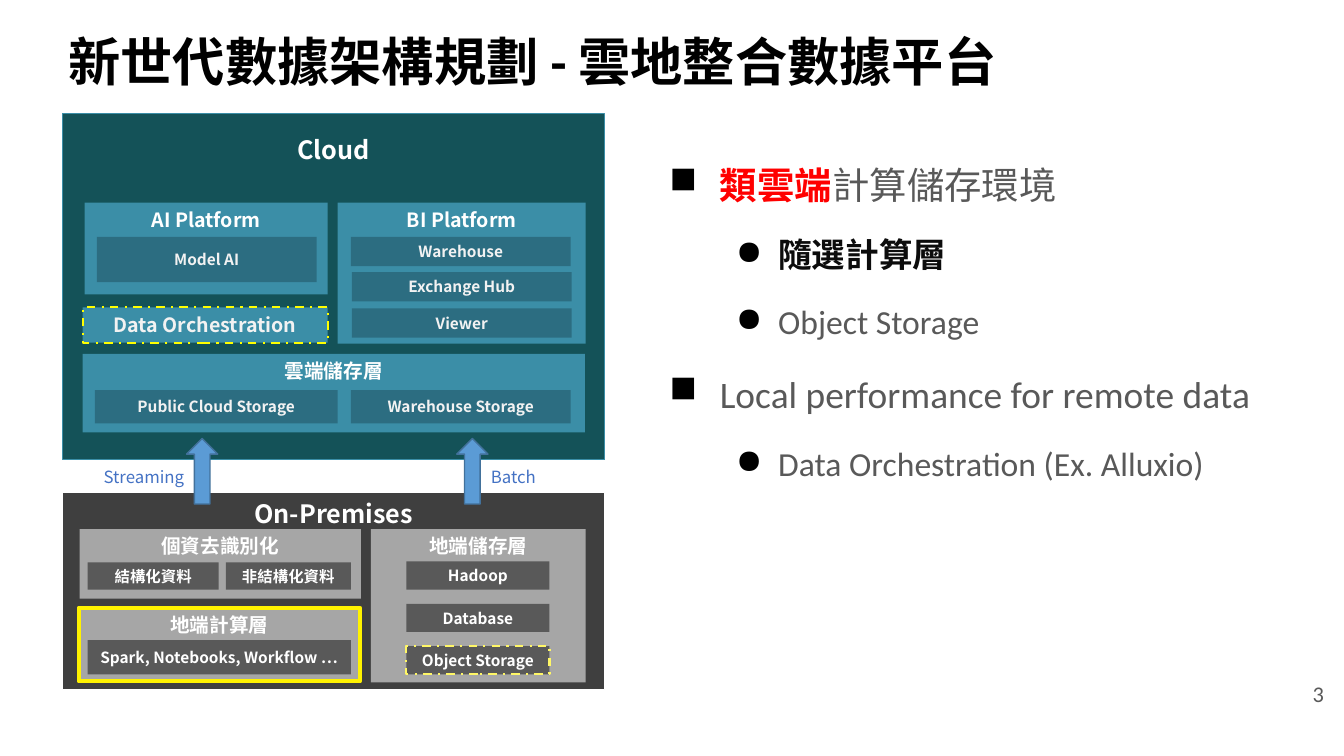
from lxml.etree import SubElement
from pptx import Presentation
from pptx.dml.color import RGBColor
from pptx.enum.dml import MSO_LINE
from pptx.enum.shapes import MSO_SHAPE
from pptx.enum.text import MSO_ANCHOR, PP_ALIGN
from pptx.oxml.ns import qn
from pptx.util import Inches, Pt

BLACK = RGBColor(0x00, 0x00, 0x00)
INK = RGBColor(0x0C, 0x0C, 0x0C)
WHITE = RGBColor(0xFF, 0xFF, 0xFF)
PALE = RGBColor(0xF2, 0xF2, 0xF2)
RED = RGBColor(0xFF, 0x00, 0x00)
GRAY = RGBColor(0x59, 0x59, 0x59)
CHARCOAL = RGBColor(0x3F, 0x3F, 0x3F)
SILVER = RGBColor(0xA6, 0xA6, 0xA6)
DEEP_TEAL = RGBColor(0x14, 0x52, 0x58)
TEAL = RGBColor(0x3B, 0x8E, 0xA7)
DARK_TEAL = RGBColor(0x2C, 0x6D, 0x81)
YELLOW = RGBColor(0xFF, 0xFF, 0x00)
GOLD = RGBColor(0xFF, 0xF2, 0x00)
LEMON = RGBColor(0xFF, 0xF7, 0x66)
ARROW_FILL = RGBColor(0x5B, 0x9B, 0xD5)
ARROW_LINE = RGBColor(0x42, 0x71, 0x9B)
FLOW_BLUE = RGBColor(0x44, 0x72, 0xC4)

CALIBRI = "Calibri"
NOTO = "Noto Sans CJK SC"


def set_font(para, name, size, color, bold=False):
    font = para.font
    font.name, font.size, font.bold = name, Pt(size), bold
    font.color.rgb = color
    # Chinese characters always use Noto
    defaults = para._p.get_or_add_pPr().find(qn("a:defRPr"))
    SubElement(defaults, qn("a:ea")).set("typeface", NOTO)


def add_text(page, left, top, width, height, text, font, size, color,
             bold=False, anchor=MSO_ANCHOR.TOP):
    box = page.shapes.add_textbox(Inches(left), Inches(top), Inches(width), Inches(height))
    box.text_frame.word_wrap = True
    box.text_frame.vertical_anchor = anchor
    para = box.text_frame.paragraphs[0]
    para.text = text
    set_font(para, font, size, color, bold)


def add_block(page, left, top, width, height, fill, text="", size=14, color=WHITE,
              anchor=MSO_ANCHOR.TOP, outline=None, weight=0.75, dash=None,
              spacing=1.0, kind=MSO_SHAPE.RECTANGLE):
    block = page.shapes.add_shape(kind, Inches(left), Inches(top), Inches(width), Inches(height))
    block.shadow.inherit = False
    block.fill.solid()
    block.fill.fore_color.rgb = fill
    if outline is None:
        block.line.fill.background()
    else:
        block.line.color.rgb = outline
        block.line.width = Pt(weight)
        if dash is not None:
            block.line.dash_style = dash
    if text:
        block.text_frame.word_wrap = True
        block.text_frame.vertical_anchor = anchor
        para = block.text_frame.paragraphs[0]
        para.text = text
        para.alignment = PP_ALIGN.CENTER
        para.line_spacing = spacing
        set_font(para, NOTO, size, color, bold=True)
    return block


def add_item(page, left, top, width, height, fill, text, color, **style):
    add_block(page, left, top, width, height, fill, text, 11, color,
              MSO_ANCHOR.MIDDLE, **style)


def add_on_premises(page, left, top, width, height):
    add_block(page, left, top, width, height, CHARCOAL, "On-Premises", 18, outline=WHITE)
    # De-identification and compute layers
    add_block(page, left + 0.17, top + 0.36, 2.79, 0.69, SILVER, "個資去識別化")
    add_block(page, left + 0.16, top + 1.14, 2.79, 0.73, SILVER, "地端計算層",
              outline=GOLD, weight=3)
    for x, y, item_width, item_height, text in (
            (0.25, 0.69, 1.3, 0.27, "結構化資料"),
            (1.62, 0.69, 1.24, 0.27, "非結構化資料"),
            (0.25, 1.46, 2.61, 0.34, "Spark, Notebooks, Workflow …")):
        add_item(page, left + x, top + y, item_width, item_height, GRAY, text, WHITE)
    # Storage layer
    add_block(page, left + 3.06, top + 0.36, 2.13, 1.52, SILVER, "地端儲存層")
    highlight = {"outline": LEMON, "weight": 1.5, "dash": MSO_LINE.DASH_DOT}
    stores = (("Hadoop", {}), ("Database", {}), ("Object Storage", highlight))
    for row, (text, style) in enumerate(stores):
        add_item(page, left + 3.41, top + 0.68 + 0.42 * row, 1.42, 0.28,
                 GRAY, text, WHITE, **style)


def add_cloud(page, left, top, width, height):
    add_block(page, left, top, width, height, DEEP_TEAL, "Cloud", 18,
              outline=TEAL, spacing=1.5)
    # Platforms and storage panels
    for x, y, panel_width, panel_height, text in (
            (0.22, 0.88, 2.41, 0.91, "AI Platform"),
            (2.73, 0.88, 2.46, 1.4, "BI Platform"),
            (0.2, 2.38, 4.98, 0.78, "雲端儲存層")):
        add_block(page, left + x, top + y, panel_width, panel_height, TEAL, text)
    add_block(page, left + 0.2, top + 1.92, 2.43, 0.35, TEAL, "Data Orchestration",
              color=PALE, outline=YELLOW, weight=1.5, dash=MSO_LINE.DASH_DOT)
    # Services inside the panels
    for x, y, item_width, item_height, text in (
            (0.34, 1.22, 2.18, 0.45, "Model AI"),
            (2.86, 1.22, 2.18, 0.29, "Warehouse"),
            (2.87, 1.57, 2.18, 0.29, "Exchange Hub"),
            (2.87, 1.93, 2.18, 0.29, "Viewer"),
            (0.32, 2.74, 2.41, 0.33, "Public Cloud Storage"),
            (2.86, 2.74, 2.18, 0.33, "Warehouse Storage")):
        add_item(page, left + x, top + y, item_width, item_height, DARK_TEAL, text, PALE)


def add_flows(page, left, top):
    for arrow_x, label_x, label_width, text in (
            (1.23, 0.31, 1.24, "Streaming"), (3.91, 4.15, 0.96, "Batch")):
        add_block(page, left + arrow_x, top, 0.31, 0.65, ARROW_FILL,
                  outline=ARROW_LINE, weight=1, kind=MSO_SHAPE.UP_ARROW)
        add_text(page, left + label_x, top + 0.23, label_width, 0.3,
                 text, NOTO, 12, FLOW_BLUE)


def add_bullet(para, level):
    para.level = level
    margin, hanging, symbol = ((0.5, 0.5, "■"), (1.08, 0.42, "●"))[level]
    props = para._p.get_or_add_pPr()
    props.set("marL", str(Inches(margin)))
    props.set("indent", str(-Inches(hanging)))
    color = SubElement(props, qn("a:buClr"))
    SubElement(color, qn("a:srgbClr")).set("val", str(BLACK))
    SubElement(props, qn("a:buChar")).set("char", symbol)


def add_points(page, left, top, width, height):
    box = page.shapes.add_textbox(Inches(left), Inches(top), Inches(width), Inches(height))
    frame = box.text_frame
    frame.word_wrap = True
    points = (
        (0, "類雲端計算儲存環境", GRAY, False),
        (1, "隨選計算層", INK, True),
        (1, "Object Storage", GRAY, False),
        (0, "Local performance for remote data", GRAY, False),
        (1, "Data Orchestration (Ex. Alluxio)", GRAY, False),
    )
    for index, (level, text, color, bold) in enumerate(points):
        para = frame.add_paragraph() if index else frame.paragraphs[0]
        para.alignment = PP_ALIGN.JUSTIFY
        para.line_spacing = 1.5
        if index:
            para.space_before = Pt((5.3, 4.8)[level])
        add_bullet(para, level)
        set_font(para, CALIBRI, (26.7, 24)[level], color, bold)
        if index:
            para.add_run().text = text
        else:
            # Opening words stand out in red
            accent, rest = para.add_run(), para.add_run()
            accent.text, rest.text = text[:3], text[3:]
            accent.font.bold = True
            accent.font.color.rgb = RED


def main():
    deck = Presentation()
    deck.slide_width, deck.slide_height = Inches(13.33), Inches(7.5)
    page = deck.slides.add_slide(deck.slide_layouts[6])
    add_text(page, 0.58, 0.3, 12.18, 0.61, "新世代數據架構規劃 - 雲地整合數據平台",
             CALIBRI, 37.3, BLACK, True, MSO_ANCHOR.MIDDLE)
    add_on_premises(page, 0.62, 4.89, 5.38, 1.95)
    add_cloud(page, 0.62, 1.13, 5.38, 3.43)
    add_flows(page, 0.62, 4.35)
    add_points(page, 6.54, 1.34, 6.38, 5.14)
    add_text(page, 12.92, 6.63, 0.42, 0.5, "3", CALIBRI, 16, GRAY,
             anchor=MSO_ANCHOR.MIDDLE)
    deck.save("out.pptx")


if __name__ == "__main__":
    main()
